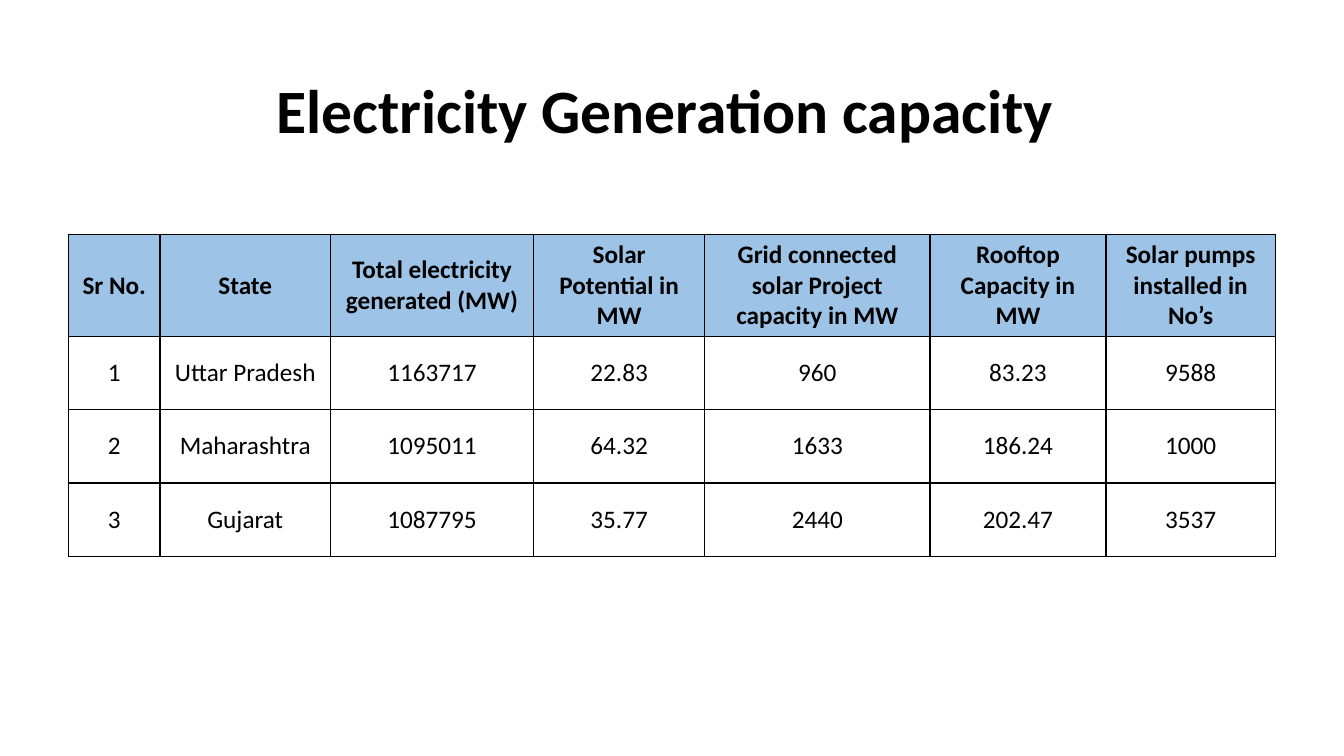
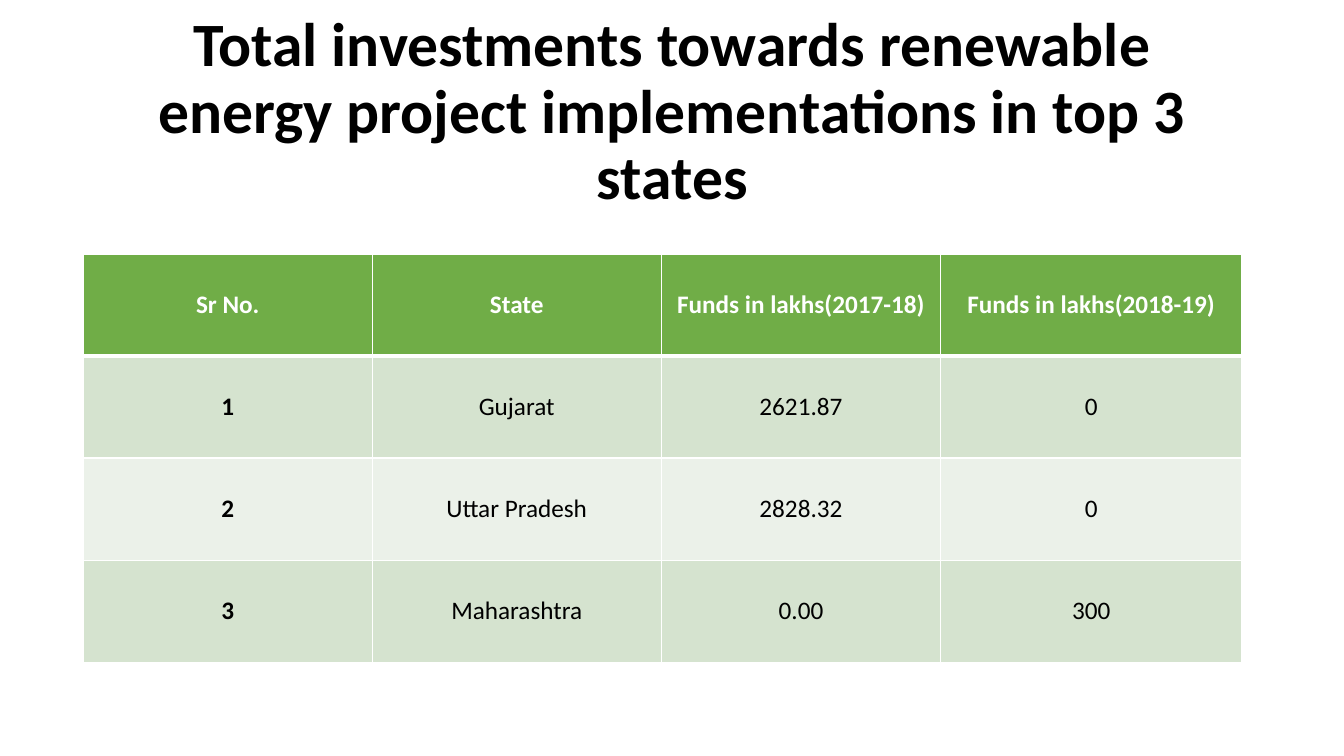
from lxml.etree import SubElement
from pptx import Presentation
from pptx.dml.color import RGBColor as RGB
from pptx.enum.text import MSO_ANCHOR as ANCHOR, PP_ALIGN as ALIGN
from pptx.oxml.ns import qn
from pptx.util import Inches, Pt

COLORS = {
    "black": "000000",
    "white": "FFFFFF",
    "blue": "9DC3E6",
    "green": "70AD47",
    "band_dark": "D5E3CF",
    "band_light": "EBF1E9",
}


def rgb(name):
    return RGB.from_string(COLORS[name])


class Deck:
    """Holds the style and current slide; lengths are percent of the slide's size."""

    FONT = "Calibri"
    TITLE_SIZE, CELL_SIZE = Pt(44), Pt(18)
    TITLE_BOX = (6.9, 5.3, 86.25, 19.3)

    def __init__(self):
        self.prs = Presentation()
        self.prs.slide_width, self.prs.slide_height = Inches(13.33), Inches(7.5)
        self.slide = None

    def x(self, share):
        return round(self.prs.slide_width * share / 100)

    def y(self, share):
        return round(self.prs.slide_height * share / 100)

    def new_slide(self, title):
        self.slide = self.prs.slides.add_slide(self.prs.slide_layouts[6])
        left, top, width, height = self.TITLE_BOX
        box = self.slide.shapes.add_textbox(
            self.x(left), self.y(top), self.x(width), self.y(height))
        tf = box.text_frame
        tf.word_wrap = True
        tf.vertical_anchor = ANCHOR.MIDDLE
        self.set_text(tf, title, self.TITLE_SIZE, "black", True)
        tf.paragraphs[0].line_spacing = 0.9

    def set_text(self, tf, text, size, color, bold):
        p = tf.paragraphs[0]
        p.text = text
        p.alignment = ALIGN.CENTER
        p.font.name, p.font.size, p.font.bold = self.FONT, size, bold
        p.font.color.rgb = rgb(color)

    def borders(self, cell, color, widths):
        """Draw the left, right, top and bottom borders with the given point widths."""
        tc_pr = cell._tc.get_or_add_tcPr()
        for side, width in zip("LRTB", widths):
            ln = SubElement(tc_pr, qn(f"a:ln{side}"), w=str(Pt(width)))
            fill = SubElement(ln, qn("a:solidFill"))
            SubElement(fill, qn("a:srgbClr"), val=COLORS[color])

    def table(self, left, top, cols, rows, data, head_fill, head_color, line,
              bands=(None,), head_rule=1, bold_first=False):
        """Draw data with its first row as header; bands are the repeating body fills."""
        frame = self.slide.shapes.add_table(
            len(rows), len(cols), self.x(left), self.y(top),
            self.x(sum(cols)), self.y(sum(rows)))
        table = frame.table
        table.first_row = table.horz_banding = False
        for col, share in zip(table.columns, cols):
            col.width = self.x(share)
        for row, share in zip(table.rows, rows):
            row.height = self.y(share)
        for i, values in enumerate(data):
            is_head = i == 0
            fill = head_fill if is_head else bands[(i - 1) % len(bands)]
            widths = (1, 1, head_rule if i == 1 else 1, head_rule if is_head else 1)
            for j, value in enumerate(values):
                cell = table.cell(i, j)
                self.borders(cell, line, widths)
                if fill:
                    cell.fill.solid()
                    cell.fill.fore_color.rgb = rgb(fill)
                else:
                    cell.fill.background()
                cell.vertical_anchor = ANCHOR.MIDDLE
                self.set_text(cell.text_frame, value, self.CELL_SIZE,
                              head_color if is_head else "black",
                              is_head or (bold_first and j == 0))


CAPACITY = [
    ("Sr No.", "State", "Total electricity generated (MW)", "Solar Potential in MW",
     "Grid connected solar Project capacity in MW", "Rooftop Capacity in MW",
     "Solar pumps installed in No’s"),
    ("1", "Uttar Pradesh", "1163717", "22.83", "960", "83.23", "9588"),
    ("2", "Maharashtra", "1095011", "64.32", "1633", "186.24", "1000"),
    ("3", "Gujarat", "1087795", "35.77", "2440", "202.47", "3537"),
]
FUNDS = [
    ("Sr No.", "State", "Funds in lakhs(2017-18)", "Funds in lakhs(2018-19)"),
    ("1", "Gujarat", "2621.87", "0"),
    ("2", "Uttar Pradesh", "2828.32", "0"),
    ("3", "Maharashtra", "0.00", "300"),
]


def main():
    deck = Deck()

    deck.new_slide("Electricity Generation capacity ")
    deck.table(5.1, 31, (6.8, 12.7, 15.1, 12.75, 16.75, 13.1, 12.6),
               (13.5,) + (9.7,) * 3, CAPACITY,
               head_fill="blue", head_color="black", line="black")

    deck.new_slide("Total investments towards renewable energy project "
                   "implementations in top 3 states")
    deck.table(6.2, 33.6, (21.5, 21.5, 20.8, 22.4), (13.5,) * 4, FUNDS,
               head_fill="green", head_color="white", line="white",
               bands=("band_dark", "band_light"), head_rule=3, bold_first=True)

    deck.prs.save("out.pptx")


if __name__ == "__main__":
    main()
